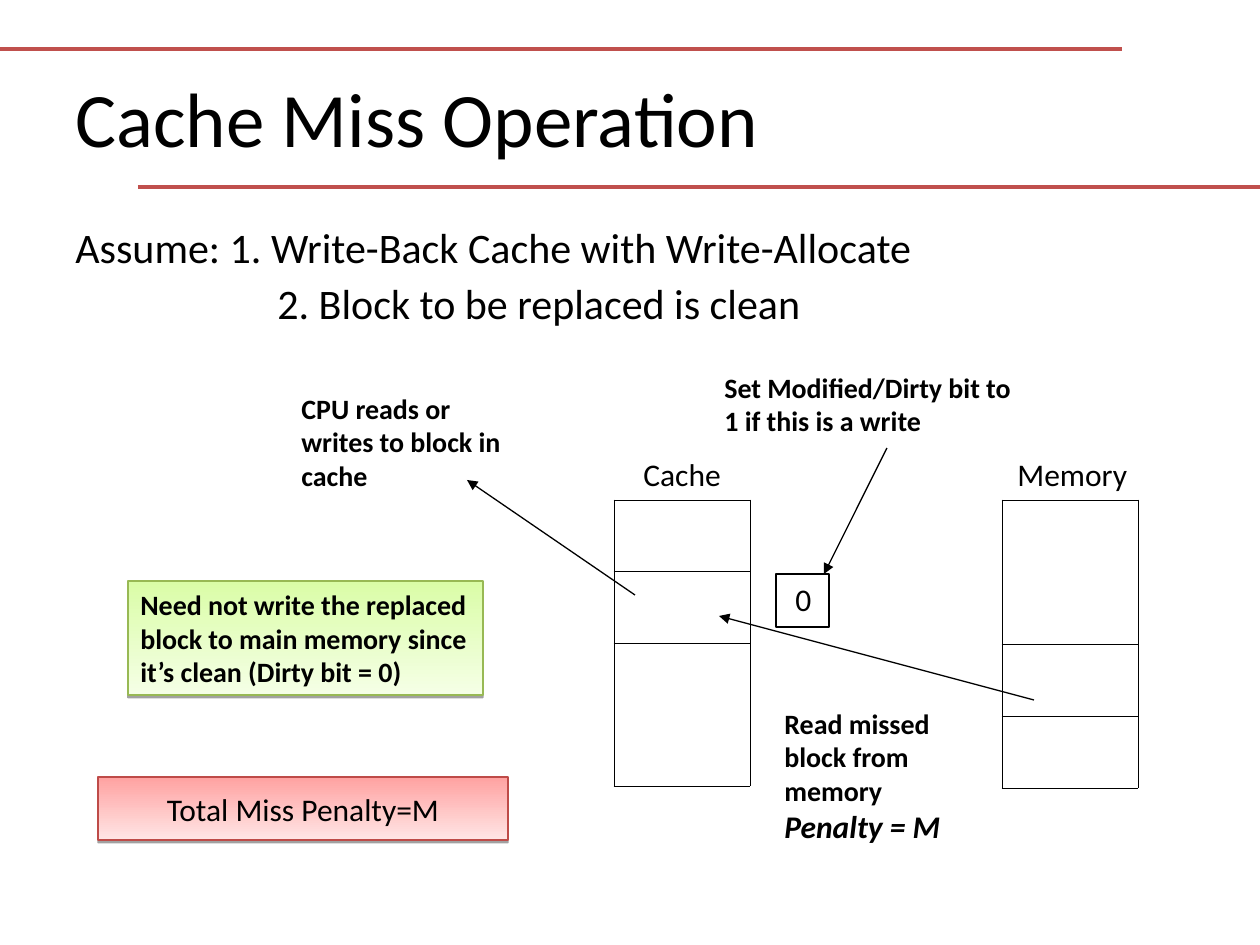
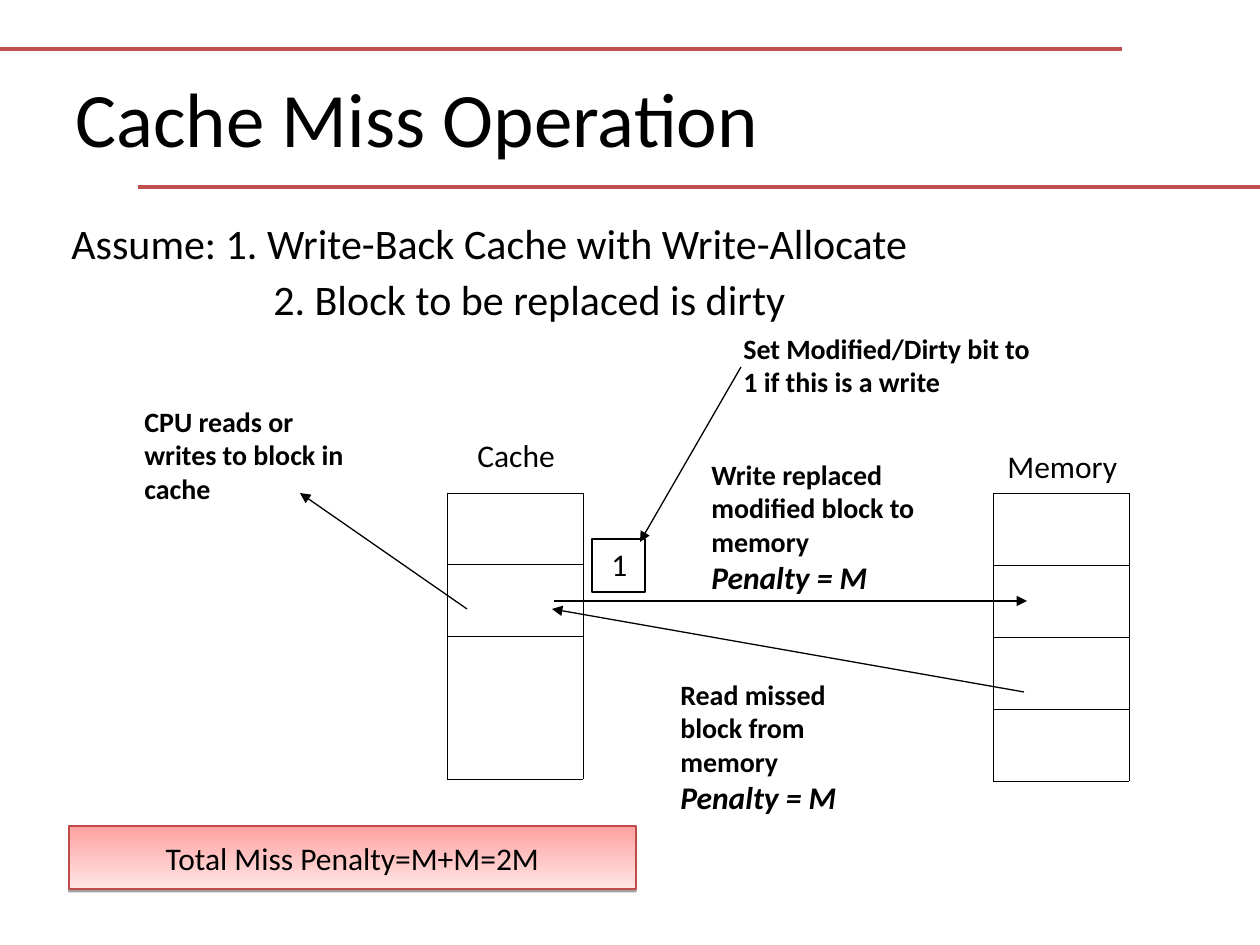
from lxml import etree
from pptx import Presentation
from pptx.dml.color import RGBColor as RGB
from pptx.enum.shapes import MSO_CONNECTOR as LINK, MSO_SHAPE as SHAPE
from pptx.enum.text import MSO_ANCHOR as ANCHOR, PP_ALIGN as ALIGN
from pptx.oxml import parse_xml
from pptx.oxml.ns import qn
from pptx.util import Emu, Pt

SCALE = 914400 / 126
FONT = "Calibri"
HEX = {
    "ink": "000000", "rule": "C0504D",
    "red": "BE4B48", "rose": "FFA2A1", "blush": "FFE5E5",
    "green": "98B954", "lime": "DAFDA7", "mint": "F5FFE6",
}
NS = 'xmlns:a="http://schemas.openxmlformats.org/drawingml/2006/main"'
SHADE = f"""<a:effectLst {NS}><a:outerShdw blurRad="0" dist="20000" dir="5400000"
 rotWithShape="0"><a:srgbClr val="{HEX['ink']}"><a:alpha val="37000"/></a:srgbClr>
</a:outerShdw></a:effectLst>"""
LOSS = ("Penalty = M", 18, True, True)


def px(*vals):
    return [Emu(round(val * SCALE)) for val in vals]


def tint(name):
    return RGB.from_string(HEX[name])


def bold(text):
    return (text, 16, True, False)


def plain(text, size=18):
    return (text, size, False, False)


def write(frame, *runs, wrap=True):
    """Put each run (text, size, bold, italic) in its own paragraph."""
    frame.word_wrap = wrap
    for num, (text, size, heavy, slant) in enumerate(runs):
        para = frame.add_paragraph() if num else frame.paragraphs[0]
        para.alignment = ALIGN.LEFT
        run = para.add_run()
        run.text = text
        font = run.font
        font.name, font.size = FONT, Pt(size)
        font.bold, font.italic = heavy, slant
        font.color.rgb = tint("ink")
    return frame


def note(shapes, area, *runs, wrap=True):
    return write(shapes.add_textbox(*px(*area)).text_frame, *runs, wrap=wrap)


def rect(shapes, area, edge):
    shape = shapes.add_shape(SHAPE.RECTANGLE, *px(*area))
    shape.shadow.inherit = False
    shape.fill.background()
    shape.line.color.rgb = tint(edge)
    shape.line.width = Pt(0.75)
    return shape


def panel(slide, area, edge, top, foot, run, wrap=True):
    """Add a shaded box with a vertical gradient."""
    shape = rect(slide.shapes, area, edge)
    shape.fill.gradient()
    shape.fill.gradient_angle = 270
    for stop, name in zip(shape.fill.gradient_stops, (top, foot)):
        stop.color.rgb = tint(name)
    props = shape.element.spPr
    props.replace(props.find(qn("a:effectLst")), parse_xml(SHADE))
    frame = write(shape.text_frame, run, wrap=wrap)
    frame.vertical_anchor = ANCHOR.MIDDLE
    return frame


def total(slide, area, text):
    frame = panel(slide, area, "red", "rose", "blush", plain(text), wrap=False)
    para = frame.paragraphs[0]
    para.alignment = ALIGN.CENTER
    para.space_before = Pt(4.5)


def line(slide, start, end, color="ink", width=0.75):
    link = slide.shapes.add_connector(LINK.STRAIGHT, *px(*start, *end))
    link.line.color.rgb = tint(color)
    link.line.width = Pt(width)
    etree.SubElement(link.element.spPr, qn("a:effectLst"))
    return link


def arrow(slide, start, end):
    link = line(slide, start, end)
    stroke = link.element.spPr.find(qn("a:ln"))
    etree.SubElement(stroke, qn("a:tailEnd"), type="triangle")


def edge(cell, sides):
    """Draw the named cell borders and clear the others."""
    cell.fill.background()
    props = cell._tc.get_or_add_tcPr()
    solid = f'<a:solidFill><a:srgbClr val="{HEX["ink"]}"/></a:solidFill>'
    for num, side in enumerate("LRTB"):
        paint = solid if side in sides else "<a:noFill/>"
        props.insert(num, parse_xml(f'<a:ln{side} {NS} w="5715">{paint}</a:ln{side}>'))


def store(slide, left, top, high, join=None):
    """Add a column of four blocks; no line shows between rows join and join + 1."""
    table = slide.shapes.add_table(4, 1, *px(left, top, 136, high)).table
    table.first_row = table.horz_banding = False
    for num, row in enumerate(table.rows):
        row.height = px(high / 4)[0]
        sides = "LR"
        if join is None or num != join + 1:
            sides += "T"
        if num != join:
            sides += "B"
        edge(row.cells[0], sides)


def bit(slide, left, top, text):
    group = slide.shapes.add_group_shape().shapes
    rect(group, (left, top, 53, 53), "ink")
    note(group, (left + 7, top, 42, 50), plain(text), wrap=False)


def assume(slide, left, top, state):
    frame = note(slide.shapes, (left, top, 931, 123),
                 plain("Assume: 1. Write-Back Cache with Write-Allocate", 24),
                 plain(f"2. Block to be replaced is {state}", 24))
    for para in frame.paragraphs:
        para.line_spacing = 0.9
        para.space_before = Pt(6)
    second = frame.paragraphs[1]._p.get_or_add_pPr()
    second.set("marL", str(px(202)[0]))
    second.set("indent", "0")


def base(deck):
    slide = deck.slides.add_slide(deck.slide_layouts[6])
    line(slide, (0, 49), (1122, 49), "rule", 2)
    line(slide, (138, 187), (1260, 187), "rule", 2)
    frame = note(slide.shapes, (63, 38, 1134, 158), plain("Cache Miss Operation", 44))
    frame.vertical_anchor = ANCHOR.MIDDLE
    return slide


def parts(slide, cache, memory, cpu, read, dirty):
    """Add the labels and notes found on both slides, each at its left and top."""
    shapes = slide.shapes
    note(shapes, (*cache, 112, 50), plain("Cache"))
    note(shapes, (*memory, 145, 50), plain("Memory"))
    note(shapes, (*cpu, 243, 113), bold("CPU reads or writes to block in cache"))
    note(shapes, (*read, 220, 151), bold("Read missed block from memory"), LOSS)
    note(shapes, (*dirty, 315, 81), bold("Set Modified/Dirty bit to 1 if this is a write"))


def clean(deck):
    slide = base(deck)
    total(slide, (98, 777, 410, 63), "Total Miss Penalty=M")
    assume(slide, 63, 221, "clean")
    store(slide, 614, 500, 286, join=2)
    store(slide, 1002, 500, 288, join=0)
    parts(slide, cache=(631, 449), memory=(1005, 449), cpu=(289, 385),
          read=(772, 700), dirty=(712, 364))
    panel(slide, (128, 581, 355, 114), "green", "lime", "mint",
          bold("Need not write the replaced block to main memory since "
               "it’s clean (Dirty bit = 0)"))
    bit(slide, 776, 574, "0")
    arrow(slide, (1034, 700), (719, 616))
    arrow(slide, (635, 595), (467, 480))
    arrow(slide, (887, 448), (824, 574))


def dirty(deck):
    slide = base(deck)
    total(slide, (69, 826, 567, 63), "Total Miss Penalty=M+M=2M")
    assume(slide, 59, 217, "dirty")
    store(slide, 447, 493, 286, join=2)
    store(slide, 993, 493, 288)
    parts(slide, cache=(465, 430), memory=(995, 441), cpu=(132, 398),
          read=(668, 671), dirty=(731, 325))
    note(slide.shapes, (699, 451, 242, 151),
         bold("Write replaced modified block to memory"), LOSS)
    bit(slide, 592, 539, "1")
    arrow(slide, (1024, 692), (552, 609))
    arrow(slide, (467, 609), (300, 493))
    arrow(slide, (741, 367), (640, 542))
    arrow(slide, (554, 601), (1027, 601))


def main():
    deck = Presentation()
    deck.slide_width, deck.slide_height = px(1260, 945)
    clean(deck)
    dirty(deck)
    deck.save("out.pptx")


if __name__ == "__main__":
    main()
